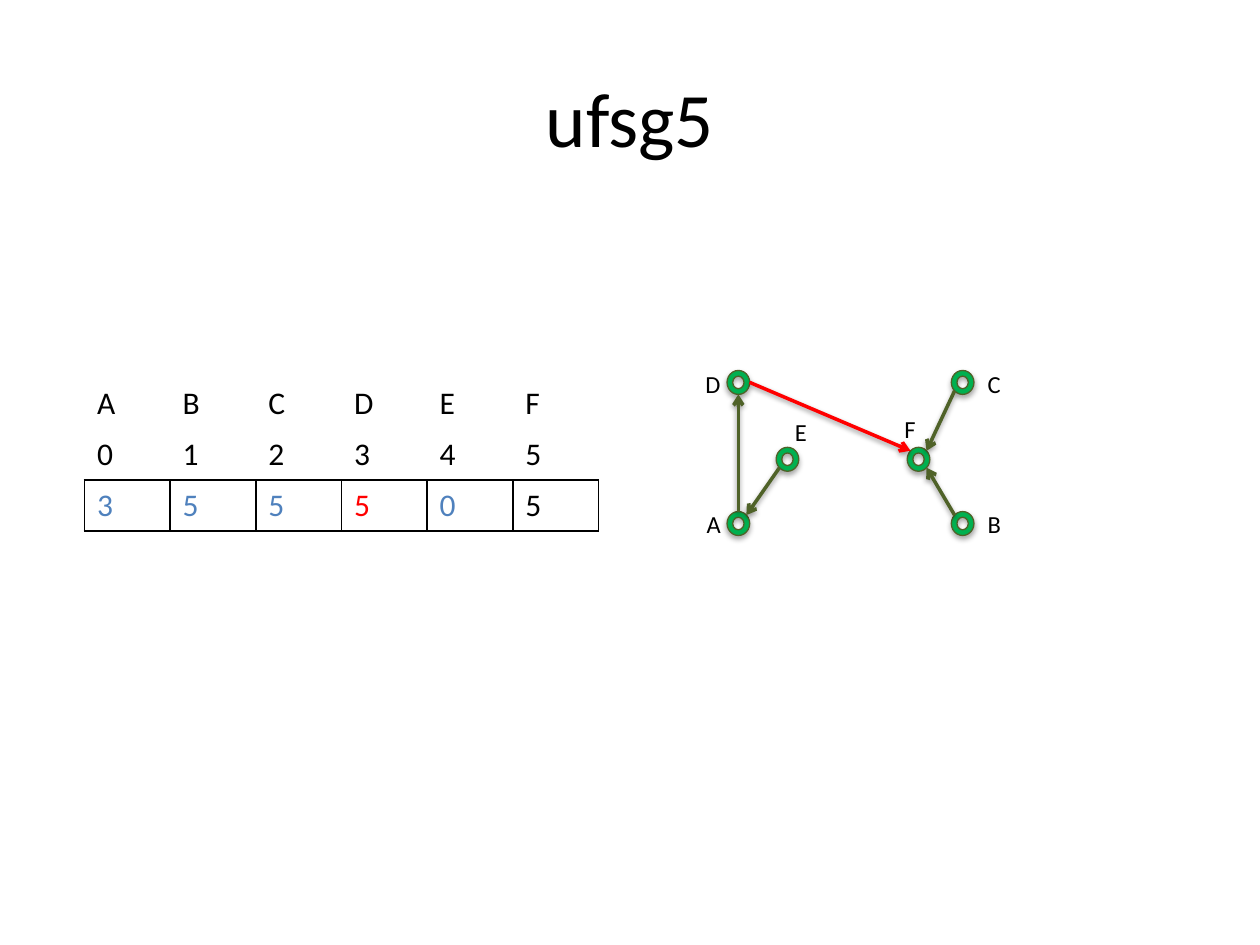
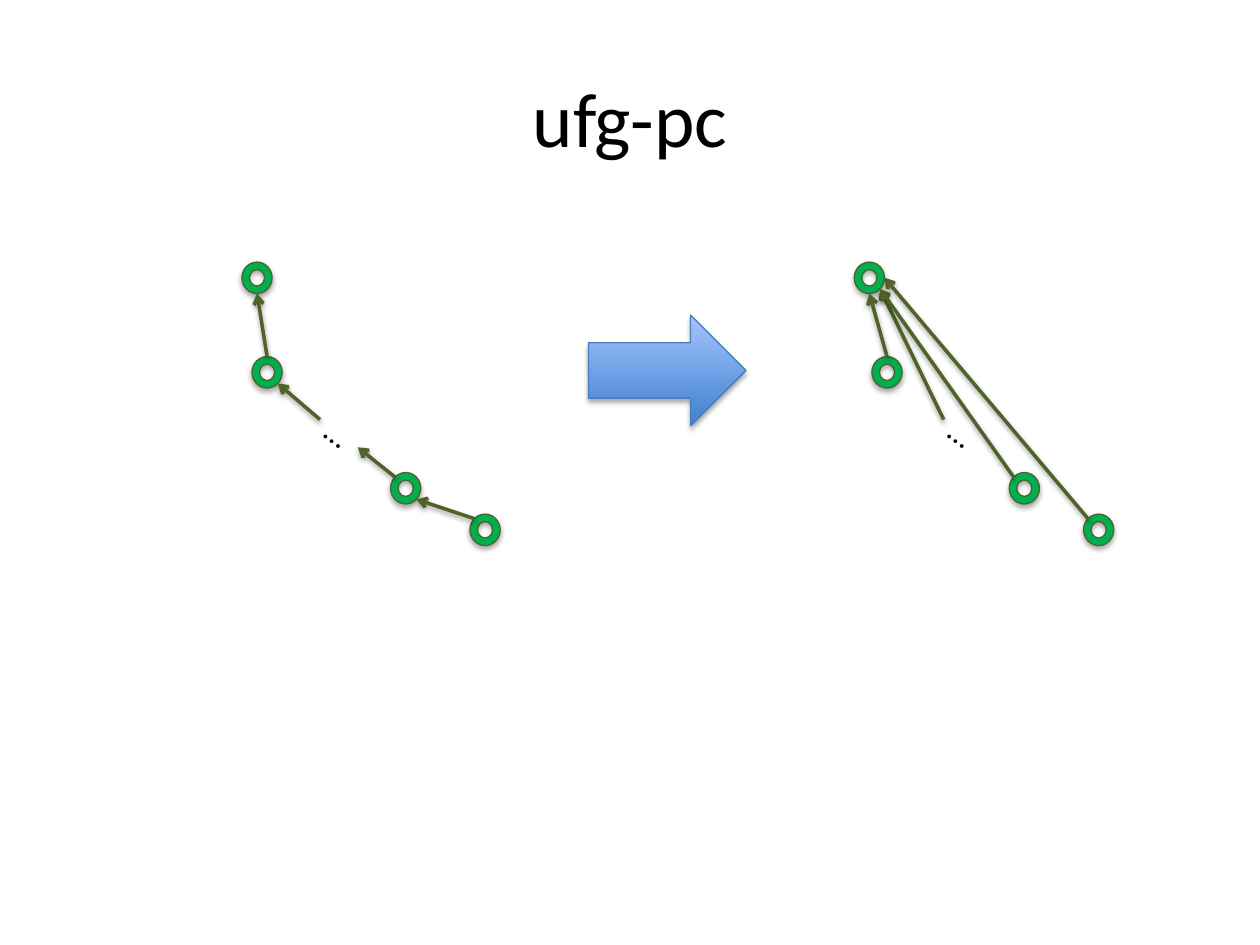
from math import cos, radians, sin

from lxml import etree
from pptx import Presentation
from pptx.dml.color import RGBColor
from pptx.enum.shapes import MSO_CONNECTOR, MSO_SHAPE as Preset
from pptx.enum.text import MSO_ANCHOR as Anchor, MSO_AUTO_SIZE as AutoSize, PP_ALIGN as Align
from pptx.oxml import parse_xml
from pptx.oxml.ns import nsdecls, qn
from pptx.util import Inches, Pt

FONT = "Calibri"
BLACK, RED, BLUE = "000000", "FF0000", "4F81BD"
GREEN, OLIVE = "00B050", "4F6228"
ARROW_DARK, ARROW_LIGHT, ARROW_EDGE = "3F80CE", "A4C4FF", "4B7EBC"
NO_GRID_STYLE = "{2D5ABB26-0587-4C30-8999-92F81FD0307C}"

# Compass sites on a node, as clockwise degrees from the right
SITES = {"E": 0, "SE": 45, "S": 90, "SW": 135, "W": 180, "NW": 225, "N": 270, "NE": 315}

# Union-find array
ARRAY_LEFT, ARRAY_TOP, CELL_WIDTH, CELL_HEIGHT = 0.67, 3, 0.68, 0.405
NAMES = [(name, BLACK) for name in "ABCDEF"]
INDEXES = [(index, BLACK) for index in "012345"]
PARENTS = [("3", BLUE), ("5", BLUE), ("5", BLUE), ("5", RED), ("0", BLUE), ("5", BLACK)]

# Forest: nodes are left, top; labels are left, top, width
FOREST_NODE = (0.18, 0.19)
FOREST = {"D": (5.77, 2.94), "E": (6.16, 3.55), "C": (7.55, 2.94),
          "A": (5.77, 4.06), "B": (7.55, 4.06), "F": (7.2, 3.55)}
FOREST_LABELS = {"D": (5.5, 2.88, 0.25), "E": (6.21, 3.26, 0.23), "C": (7.74, 2.88, 0.26),
                 "B": (7.74, 3.99, 0.24), "A": (5.51, 3.99, 0.24), "F": (7.08, 3.24, 0.22)}
FOREST_EDGES = [
    (("A", "N"), ("D", "S"), OLIVE),
    (("E", "SW"), ("A", "NE"), OLIVE),
    (("C", "SW"), ("F", "NE"), OLIVE),
    (("B", "NW"), ("F", "SE"), OLIVE),
    (("D", "E"), ("F", "NW"), RED),
]

# Path compression: the same chain before and after; "gap" ends are plain points
CHAIN_NODE = (0.24, 0.25)
LONG_PATH = {
    "nodes": {"root": (1.92, 2.08), "child": (2, 2.83), "lower": (3.1, 3.75), "leaf": (3.73, 4.08)},
    "edges": [(("child", "N"), ("root", "S")), ((2.54, 3.33), ("child", "SE")),
              (("lower", "NW"), (2.84, 3.55)), (("leaf", "NW"), ("lower", "SE"))],
    "dots": (2.5, 3.24),
}
COMPRESSED_PATH = {
    "nodes": {"root": (6.78, 2.08), "child": (6.92, 2.83), "lower": (8.01, 3.75), "leaf": (8.6, 4.08)},
    "edges": [(("child", "N"), ("root", "S")), ((7.49, 3.33), ("root", "SE")),
              (("lower", "NW"), ("root", "SE")), (("leaf", "NW"), ("root", "E"))],
    "dots": (7.45, 3.24),
}


def color(hex_code):
    return RGBColor.from_string(hex_code)


def add_shadow(shape, distance, opacity):
    """Give a shape or connector a soft shadow straight below it."""
    shape._element.spPr.append(parse_xml(
        f'<a:effectLst {nsdecls("a")}><a:outerShdw blurRad="{Pt(3.1)}" dist="{Pt(distance)}" '
        f'dir="5400000" rotWithShape="0"><a:srgbClr val="{BLACK}">'
        f'<a:alpha val="{opacity * 1000}"/></a:srgbClr></a:outerShdw></a:effectLst>'))


def write(frame, text, size, hex_code=BLACK, align=None):
    paragraph = frame.paragraphs[0]
    paragraph.alignment = align
    run = paragraph.add_run()
    run.text = text
    run.font.name, run.font.size = FONT, Pt(size)
    run.font.color.rgb = color(hex_code)


def add_titled_slide(deck, title):
    slide = deck.slides.add_slide(deck.slide_layouts[5])
    heading = slide.shapes.title
    heading.left, heading.top = Inches(0.5), Inches(0.3)
    heading.width, heading.height = Inches(9), Inches(1.25)
    heading.text_frame.vertical_anchor = Anchor.MIDDLE
    write(heading.text_frame, title, 44, align=Align.CENTER)
    return slide


def add_label(slide, text, box, size, rotation=0):
    label = slide.shapes.add_textbox(*map(Inches, box))
    label.rotation = rotation
    label.text_frame.word_wrap = False
    label.text_frame.auto_size = AutoSize.SHAPE_TO_FIT_TEXT
    write(label.text_frame, text, size)


def add_preset(slide, preset, box, edge):
    shape = slide.shapes.add_shape(preset, *map(Inches, box))
    shape.line.color.rgb = color(edge)
    shape.line.width = Pt(0.75)
    return shape


def add_nodes(slide, nodes, size):
    for place in nodes.values():
        node = add_preset(slide, Preset.DONUT, place + size, OLIVE)
        node.fill.solid()
        node.fill.fore_color.rgb = color(GREEN)
        add_shadow(node, 1.8, 35)


def locate(end, nodes, size):
    """Turn a (node, site) pair into a point; a plain point stays as it is."""
    if end[0] not in nodes:
        return end
    (left, top), (width, height) = nodes[end[0]], size
    angle = radians(SITES[end[1]])
    return left + width / 2 * (1 + cos(angle)), top + height / 2 * (1 + sin(angle))


def add_edge(slide, start, end, nodes, size, hex_code=OLIVE):
    points = locate(start, nodes, size) + locate(end, nodes, size)
    edge = slide.shapes.add_connector(MSO_CONNECTOR.STRAIGHT, *map(Inches, points))
    edge.line.color.rgb = color(hex_code)
    edge.line.width = Pt(2)
    etree.SubElement(edge.line._get_or_add_ln(), qn("a:tailEnd"), type="arrow")
    add_shadow(edge, 1.6, 38)


def add_borders(cell):
    properties = cell._tc.get_or_add_tcPr()
    for position, side in enumerate(("lnL", "lnR", "lnT", "lnB")):
        properties.insert(position, parse_xml(
            f'<a:{side} {nsdecls("a")} w="{Pt(1)}"><a:solidFill>'
            f'<a:srgbClr val="{BLACK}"/></a:solidFill></a:{side}>'))


def add_array_row(slide, entries, row, bordered=False):
    box = (ARRAY_LEFT, ARRAY_TOP + row * CELL_HEIGHT, CELL_WIDTH * len(entries), CELL_HEIGHT)
    table = slide.shapes.add_table(1, len(entries), *map(Inches, box)).table
    table.first_row = table.horz_banding = False
    table._tbl.tblPr.find(qn("a:tableStyleId")).text = NO_GRID_STYLE
    for cell, (text, hex_code) in zip(table.iter_cells(), entries):
        cell.fill.background()
        write(cell.text_frame, text, 18, hex_code)
        if bordered:
            add_borders(cell)


def add_chain(slide, chain):
    add_nodes(slide, chain["nodes"], CHAIN_NODE)
    for start, end in chain["edges"]:
        add_edge(slide, start, end, chain["nodes"], CHAIN_NODE)
    add_label(slide, "…", chain["dots"] + (0.38, 0.4), 18, rotation=37.1)


def add_block_arrow(slide):
    arrow = add_preset(slide, Preset.RIGHT_ARROW, (4.67, 2.5, 1.25, 0.88), ARROW_EDGE)
    arrow.fill.gradient()
    arrow.fill.gradient_angle = 90
    for stop, hex_code in zip(arrow.fill.gradient_stops, (ARROW_DARK, ARROW_LIGHT)):
        stop.color.rgb = color(hex_code)
    add_shadow(arrow, 1.8, 35)


def build_forest_slide(deck):
    slide = add_titled_slide(deck, "ufsg5")
    add_array_row(slide, PARENTS, 2, bordered=True)
    add_array_row(slide, INDEXES, 1)
    add_array_row(slide, NAMES, 0)
    add_nodes(slide, FOREST, FOREST_NODE)
    for name, (left, top, width) in FOREST_LABELS.items():
        add_label(slide, name, (left, top, width, 0.26), 14)
    for start, end, hex_code in FOREST_EDGES:
        add_edge(slide, start, end, FOREST, FOREST_NODE, hex_code)


def build_compression_slide(deck):
    slide = add_titled_slide(deck, "ufg-pc")
    add_chain(slide, LONG_PATH)
    add_block_arrow(slide)
    add_chain(slide, COMPRESSED_PATH)


def main():
    deck = Presentation()
    deck.slide_width, deck.slide_height = Inches(10), Inches(7.5)
    build_forest_slide(deck)
    build_compression_slide(deck)
    deck.save("out.pptx")


if __name__ == "__main__":
    main()
